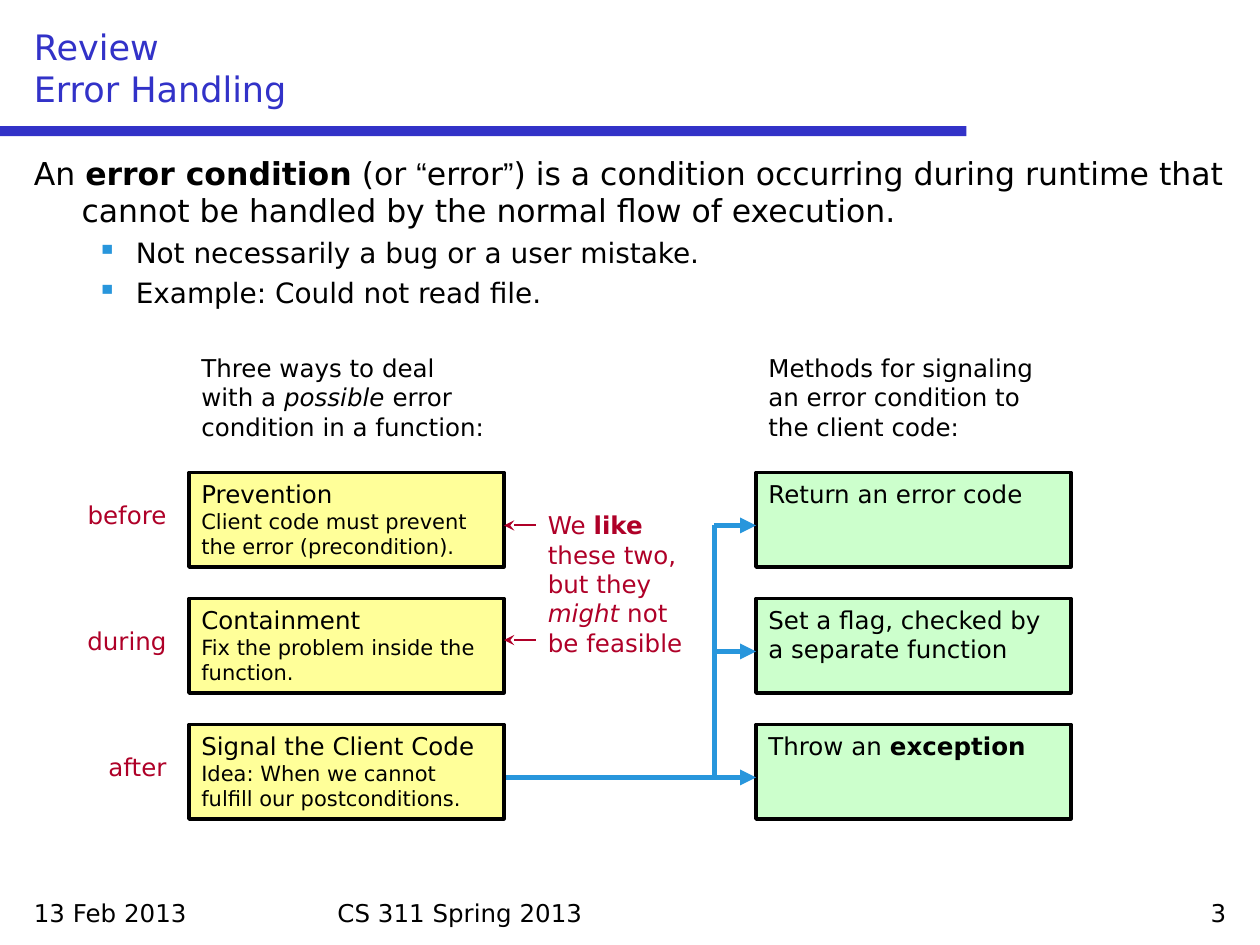
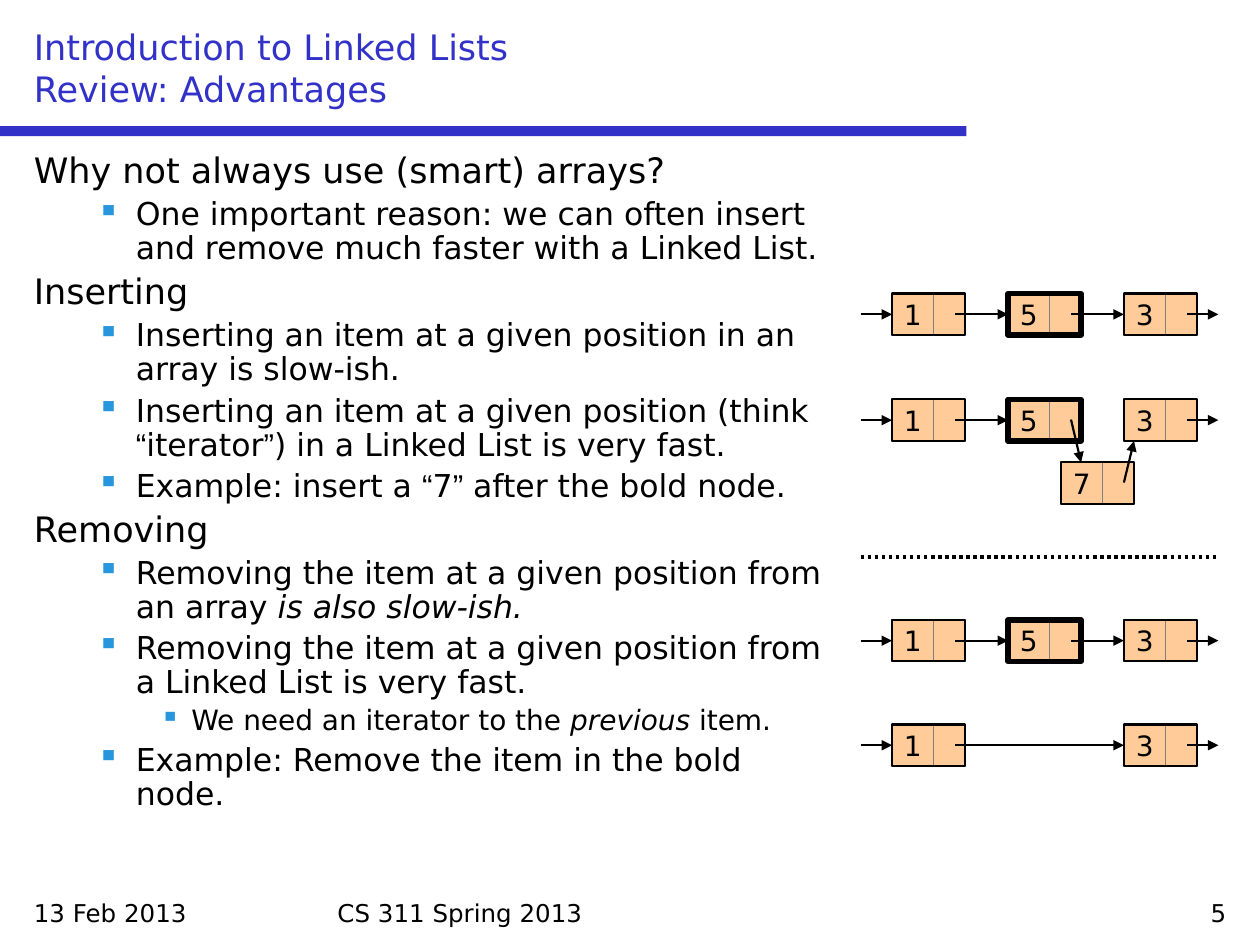
from lxml import etree
from pptx import Presentation
from pptx.dml.color import RGBColor
from pptx.enum import dml, shapes, text
from pptx.oxml import ns
from pptx.util import Inches, Pt

FONT = "DejaVu Sans"
QUOTE_FONT = "Arial"
BLACK = RGBColor(0x00, 0x00, 0x00)
GRAY = RGBColor(0x80, 0x80, 0x80)
INDIGO = RGBColor(0x32, 0x32, 0xC8)
SKY = RGBColor(0x28, 0x96, 0xDC)
CRIMSON = RGBColor(0xAF, 0x00, 0x28)
YELLOW = RGBColor(0xFF, 0xFF, 0x99)
GREEN = RGBColor(0xCC, 0xFF, 0xCC)
PEACH = RGBColor(0xFF, 0xCC, 0x99)

# Left margin and first-line indent for each outline level
INDENTS = [(0.38, -0.38), (0.81, -0.31), (1.25, -0.25)]
SPACE_BEFORE = 0.23  # share of the text size, between outline paragraphs
NODE_COLUMNS = {"1": 7.08, "5": 8, "3": 8.92}
NODE_HEIGHT = 0.33


# Text pieces: a plain string, or a string with its font settings
def bold(words):
    return words, {"bold": True}


def italic(words):
    return words, {"italic": True}


def sized(words, size):
    return words, {"size": Pt(size)}


def quoted(words):
    return [("“", {"name": QUOTE_FONT}), words, ("”", {"name": QUOTE_FONT})]


def fill_paragraph(paragraph, pieces, size, color=BLACK):
    paragraph.font.name = FONT
    paragraph.font.size = Pt(size)
    paragraph.font.color.rgb = color
    for piece in pieces:
        if piece == "\n":
            paragraph.add_line_break()
            continue
        words, settings = (piece, {}) if isinstance(piece, str) else piece
        run = paragraph.add_run()
        run.text = words
        for name, value in settings.items():
            setattr(run.font, name, value)


def add_text(slide, box, pieces, size=14, color=BLACK, align=text.PP_ALIGN.LEFT,
             anchor=text.MSO_ANCHOR.TOP):
    frame = slide.shapes.add_textbox(*map(Inches, box)).text_frame
    frame.word_wrap = True
    frame.vertical_anchor = anchor
    paragraph = frame.paragraphs[0]
    paragraph.alignment = align
    fill_paragraph(paragraph, pieces, size, color)


def add_outline(slide, width, items, sizes, line_spacing=None):
    """Items are (level, pieces); sizes holds one text size per level."""
    box = slide.shapes.add_textbox(Inches(0.17), Inches(1.17), Inches(width), Inches(5.83))
    frame = box.text_frame
    frame.word_wrap = True
    for index, (level, pieces) in enumerate(items):
        paragraph = frame.add_paragraph() if index else frame.paragraphs[0]
        paragraph.level = level
        paragraph.line_spacing = line_spacing
        if index:
            paragraph.space_before = Pt(round(SPACE_BEFORE * sizes[level], 1))
        properties = paragraph._p.get_or_add_pPr()
        margin, indent = INDENTS[level]
        properties.set("marL", str(Inches(margin)))
        properties.set("indent", str(Inches(indent)))
        if level:
            bullet_color = etree.SubElement(properties, ns.qn("a:buClr"))
            etree.SubElement(bullet_color, ns.qn("a:srgbClr"), val=str(SKY))
            etree.SubElement(properties, ns.qn("a:buChar"), char="▪")
        fill_paragraph(paragraph, pieces, sizes[level])


def add_rectangle(slide, box, fill=None, line=None, line_width=1):
    shape = slide.shapes.add_shape(shapes.MSO_SHAPE.RECTANGLE, *map(Inches, box))
    shape.shadow.inherit = False
    if fill is None:
        shape.fill.background()
    else:
        shape.fill.solid()
        shape.fill.fore_color.rgb = fill
    if line is None:
        shape.line.fill.background()
    else:
        shape.line.color.rgb = line
        shape.line.width = Pt(line_width)
    return shape


def add_card(slide, box, fill, pieces):
    card = add_rectangle(slide, box, fill, BLACK, 2)
    frame = card.text_frame
    frame.word_wrap = True
    frame.vertical_anchor = text.MSO_ANCHOR.TOP
    paragraph = frame.paragraphs[0]
    paragraph.alignment = text.PP_ALIGN.LEFT
    fill_paragraph(paragraph, pieces, 14)


def add_line(slide, start, end, color=BLACK, width=1.25, head=None, target=None):
    """Draw a line; a target shape is joined at its left side."""
    line = slide.shapes.add_connector(
        shapes.MSO_CONNECTOR.STRAIGHT, *map(Inches, (*start, *end)))
    line.line.color.rgb = color
    line.line.width = Pt(width)
    if head:
        etree.SubElement(line.line._get_or_add_ln(), ns.qn("a:tailEnd"), type=head)
    etree.SubElement(line._element.spPr, ns.qn("a:effectLst"))
    if target is not None:
        line.end_connect(target, 1)
    return line


def add_slide(presentation, title_lines, number):
    """Blank slide with the shared title, band and footer."""
    slide = presentation.slides.add_slide(presentation.slide_layouts[6])
    add_rectangle(slide, (0, 1, 7.67, 0.08), INDIGO)
    add_text(slide, (0.17, 7.08, 2.33, 0.33), ["13 Feb 2013"])
    add_text(slide, (2.58, 7.08, 4.83, 0.33), ["CS 311 Spring 2013"])
    add_text(slide, (7.5, 7.08, 2.33, 0.33), [str(number)], align=text.PP_ALIGN.RIGHT)
    first, second = title_lines
    add_text(slide, (0.17, 0.17, 9.67, 0.75), [first, "\n", second], 20, INDIGO,
             anchor=text.MSO_ANCHOR.BOTTOM)
    return slide


def add_node(slide, left, top, digit, line_width=1.25):
    """Linked-list node: value cell, pointer cell and outline."""
    value = add_rectangle(slide, (left, top, 0.33, NODE_HEIGHT), PEACH, GRAY, 0.75)
    value.text_frame.word_wrap = False
    value.text_frame.vertical_anchor = text.MSO_ANCHOR.MIDDLE
    paragraph = value.text_frame.paragraphs[0]
    paragraph.alignment = text.PP_ALIGN.CENTER
    fill_paragraph(paragraph, [digit], 16)
    add_rectangle(slide, (left + 0.33, top, 0.25, NODE_HEIGHT), PEACH, GRAY, 0.75)
    return add_rectangle(slide, (left, top, 0.58, NODE_HEIGHT), None, BLACK, line_width)


def add_list(slide, top, digits, unlinked=()):
    """Row of nodes, each pointing to the next unless named in unlinked."""
    middle = top + NODE_HEIGHT / 2
    nodes = [add_node(slide, NODE_COLUMNS[digit], top, digit, 3 if digit == "5" else 1.25)
             for digit in digits]
    first_left = NODE_COLUMNS[digits[0]]
    add_line(slide, (6.83, middle), (first_left, middle), head="triangle", target=nodes[0])
    for digit, following, target in zip(digits, digits[1:], nodes[1:]):
        if digit not in unlinked:
            add_line(slide, (NODE_COLUMNS[digit] + 0.5, middle),
                     (NODE_COLUMNS[following], middle), head="triangle", target=target)
    add_line(slide, (9.42, middle), (9.67, middle), head="triangle")


def build_error_handling(presentation):
    slide = add_slide(presentation, ("Review", "Error Handling"), 3)
    add_outline(slide, 9.67, [
        (0, ["An ", bold("error condition"), " (or ", *quoted("error"),
             ") is a condition occurring during runtime that cannot be handled "
             "by the normal flow of execution."]),
        (1, ["Not necessarily a bug or a user mistake."]),
        (1, ["Example: Could not read file."]),
    ], sizes=(18, 16))

    # Column headings
    add_text(slide, (1.5, 2.75, 2.5, 0.75),
             ["Three ways to deal with a ", italic("possible"),
              " error condition in a function:"])
    add_text(slide, (6, 2.75, 2.5, 0.75),
             ["Methods for signaling an error condition to the client code:"])

    # Signaling methods and the arrows that lead to them
    methods = [["Return an error code"],
               ["Set a flag, checked by a separate function"],
               ["Throw an ", bold("exception")]]
    for row, pieces in enumerate(methods):
        add_card(slide, (6, 3.75 + row, 2.5, 0.75), GREEN, pieces)
    add_line(slide, (5.67, 6.17), (5.67, 4.17), SKY, 3)
    for start, y in [(5.67, 4.17), (5.67, 5.17), (3.83, 6.17)]:
        add_line(slide, (start, y), (6, y), SKY, 3, "triangle")

    # Ways to deal with an error, with their times
    ways = [
        ("before", "Prevention", "Client code must prevent the error (precondition)."),
        ("during", "Containment", "Fix the problem inside the function."),
        ("after", "Signal the Client Code",
         "Idea: When we cannot fulfill our postconditions."),
    ]
    for row, (time, name, detail) in enumerate(ways):
        add_text(slide, (0.5, 3.92 + row, 0.92, 0.34), [time], color=CRIMSON,
                 align=text.PP_ALIGN.RIGHT)
        add_card(slide, (1.5, 3.75 + row, 2.5, 0.75), YELLOW,
                 [name, "\n", sized(detail, 12)])

    # Remark on the first two ways
    add_text(slide, (4.25, 4, 1.33, 1.29),
             ["We ", bold("like"), " these two, but they ", italic("might"),
              " not be feasible"], color=CRIMSON)
    for y in (4.17, 5.08):
        add_line(slide, (4.25, y), (4, y), CRIMSON, head="stealth")


def build_linked_lists(presentation):
    slide = add_slide(presentation,
                      ("Introduction to Linked Lists", "Review: Advantages"), 5)
    add_outline(slide, 6.5, [
        (0, ["Why not always use (smart) arrays?"]),
        (1, ["One important reason: we can often insert and remove much faster "
             "with a Linked List."]),
        (0, ["Inserting"]),
        (1, ["Inserting an item at a given position in an array is slow-ish."]),
        (1, ["Inserting an item at a given position (think ", *quoted("iterator"),
             ") in a Linked List is very fast."]),
        (1, ["Example: insert a ", *quoted("7"), " after the bold node."]),
        (0, ["Removing"]),
        (1, ["Removing the item at a given position from an array",
             italic(" is also slow-ish.")]),
        (1, ["Removing the item at a given position from a Linked List is very fast."]),
        (2, ["We need an iterator to the ", italic("previous"), " item."]),
        (1, ["Example: Remove the item in the bold node."]),
    ], sizes=(20, 18, 16), line_spacing=0.9)

    # Inserting: before and after
    add_list(slide, 2.33, "153")
    add_list(slide, 3.17, "153", unlinked="5")
    add_node(slide, 8.42, 3.67, "7")
    add_line(slide, (8.5, 3.33), (8.58, 3.67), head="triangle")
    add_line(slide, (8.92, 3.83), (9, 3.5), head="triangle")

    divider = add_line(slide, (6.83, 4.42), (9.67, 4.42), width=2)
    divider.line.dash_style = dml.MSO_LINE.ROUND_DOT

    # Removing: before and after
    add_list(slide, 4.92, "153")
    add_list(slide, 5.75, "13")


def main():
    presentation = Presentation()
    presentation.slide_width = Inches(10)
    presentation.slide_height = Inches(7.5)
    build_error_handling(presentation)
    build_linked_lists(presentation)
    presentation.save("out.pptx")


if __name__ == "__main__":
    main()
